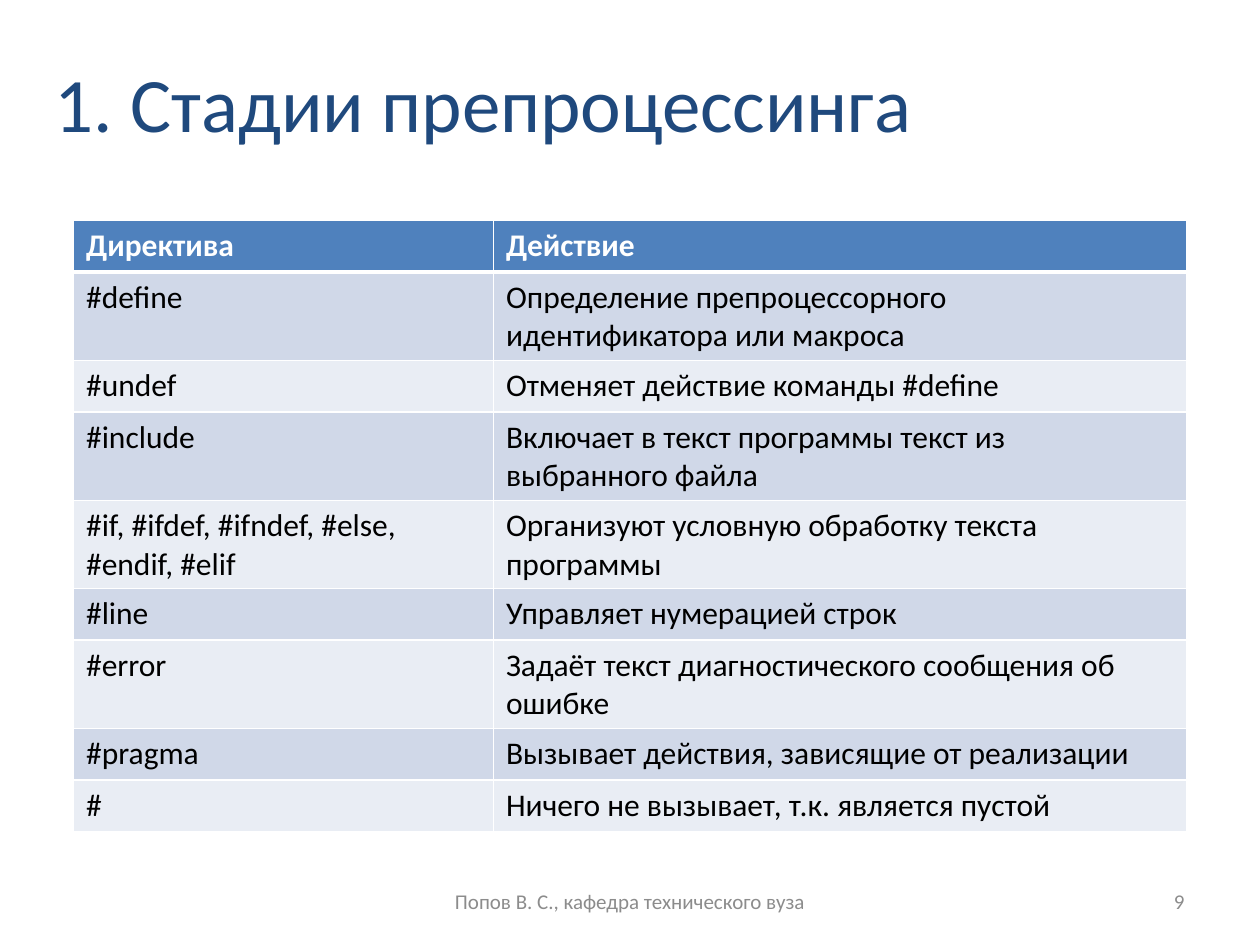
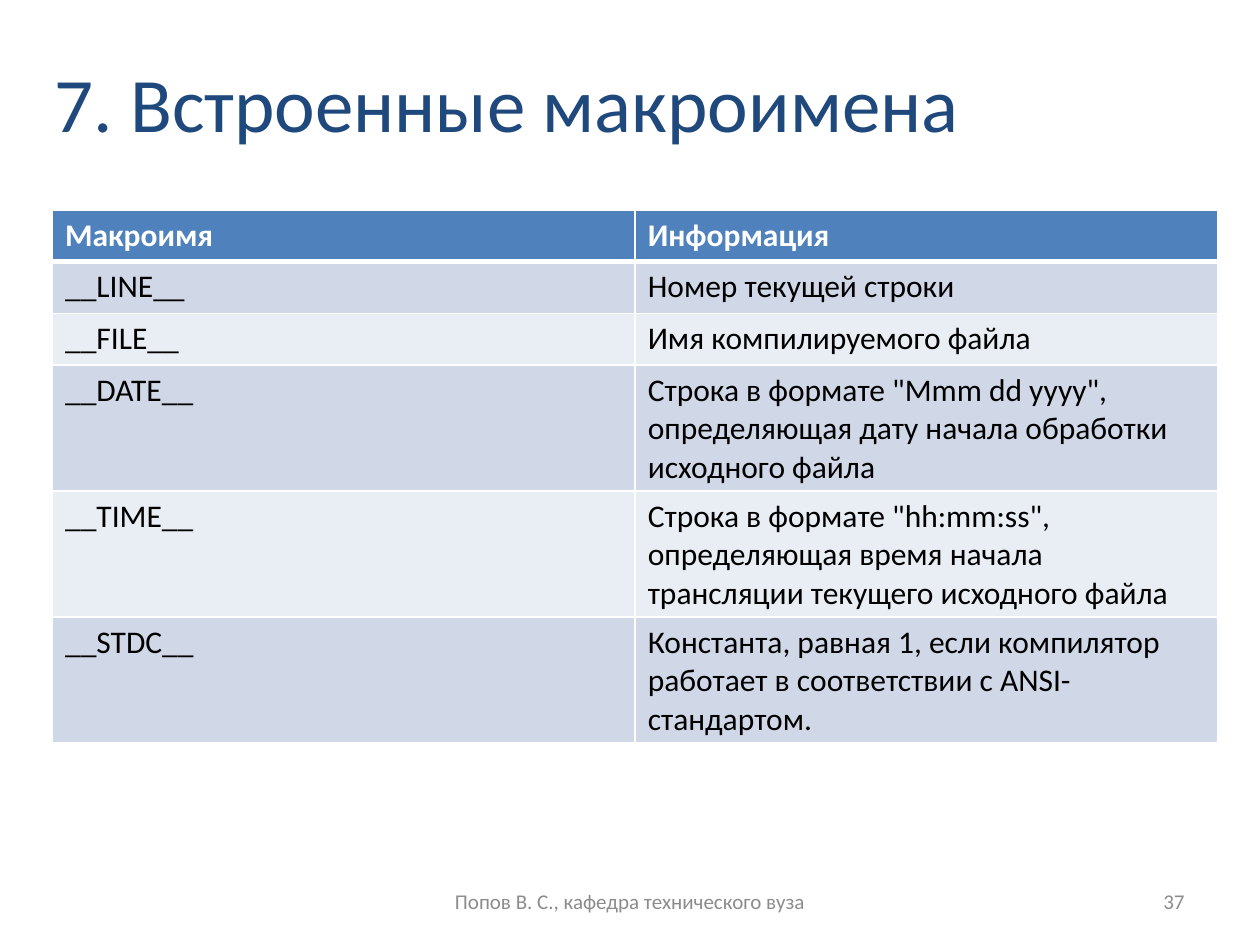
import dataclasses
import pptx
import pptx.util
import pptx.dml.color
import pptx.enum.text
import pptx.oxml
import pptx.oxml.ns
from lxml import etree

ALIGN = pptx.enum.text.PP_ALIGN
MIDDLE = pptx.enum.text.MSO_ANCHOR.MIDDLE


@dataclasses.dataclass(frozen=True)
class Theme:
    """Colours, type sizes and line widths of the deck."""
    font: str = "Calibri"
    title: str = "1F497D"
    foot: str = "8C8C8C"
    head: str = "4F81BD"
    bands: tuple = ("D0D8E8", "E9EDF4")
    white: str = "FFFFFF"
    black: str = "000000"
    big: int = 44
    body: int = 18
    small: int = 12
    thin: int = 1
    thick: int = 3


THEME = Theme()
COLS, ROWS = 120, 90  # the slide grid, twelve units to the inch
ROW = 4.92  # height of a table row of one line
TITLE_BOX = (4, 0, 98, 19.32)
FOOT_BOX = (41, 83.4, 38, 4.8)
PAGE_BOX = (86, 83.4, 28, 4.8)
FOOTER = "Попов В. С., кафедра технического вуза"

STAGES = [
    ("Директива", "Действие"),
    ("#define", "Определение препроцессорного идентификатора или макроса"),
    ("#undef", "Отменяет действие команды #define"),
    ("#include", "Включает в текст программы текст из выбранного файла"),
    ("#if, #ifdef, #ifndef, #else, #endif, #elif",
     "Организуют условную обработку текста программы"),
    ("#line", "Управляет нумерацией строк"),
    ("#error", "Задаёт текст диагностического сообщения об ошибке"),
    ("#pragma", "Вызывает действия, зависящие от реализации"),
    ("#", "Ничего не вызывает, т.к. является пустой"),
]
MACROS = [
    ("Макроимя", "Информация"),
    ("__LINE__", "Номер текущей строки"),
    ("__FILE__", "Имя компилируемого файла"),
    ("__DATE__", 'Строка в формате "Mmm dd yyyy", определяющая дату '
                 "начала обработки исходного файла"),
    ("__TIME__", 'Строка в формате "hh:mm:ss", определяющая время '
                 "начала трансляции текущего исходного файла"),
    ("__STDC__", "Константа, равная 1, если компилятор работает "
                 "в соответствии с ANSI-стандартом."),
]

deck = pptx.Presentation()
deck.slide_width = pptx.util.Inches(10)
deck.slide_height = pptx.util.Inches(7.5)


def across(cols):
    """Turn grid columns into a length."""
    return round(deck.slide_width * cols / COLS)


def down(rows):
    """Turn grid rows into a length."""
    return round(deck.slide_height * rows / ROWS)


def place(box):
    """Turn a grid box into left, top, width and height."""
    left, top, width, height = box
    return across(left), down(top), across(width), down(height)


def rgb(code):
    """Make a colour from its hex code."""
    return pptx.dml.color.RGBColor.from_string(code)


def write(frame, text, size, color, align=ALIGN.LEFT, bold=False):
    """Set the text of a frame and format its run."""
    frame.text = text
    para = frame.paragraphs[0]
    para.alignment = align
    font = para.runs[0].font
    font.name, font.size, font.bold = THEME.font, pptx.util.Pt(size), bold
    font.color.rgb = rgb(color)


def add_title(slide, box, text):
    """Move the title placeholder into the box and fill it."""
    title = slide.shapes.title
    title.left, title.top, title.width, title.height = place(box)
    title.text_frame.vertical_anchor = MIDDLE
    write(title.text_frame, text, THEME.big, THEME.title)


def add_foot(slide, box, text, align):
    """Put one small grey footer text in the box."""
    frame = slide.shapes.add_textbox(*place(box)).text_frame
    frame.word_wrap = True
    frame.vertical_anchor = MIDDLE
    write(frame, text, THEME.small, THEME.foot, align)


def add_edges(cell, top, bottom):
    """Draw white cell borders; top and bottom widths are in points."""
    props = cell._tc.get_or_add_tcPr()
    sides = {"L": THEME.thin, "R": THEME.thin, "T": top, "B": bottom}
    for spot, (side, width) in enumerate(sides.items()):
        line = etree.Element(pptx.oxml.ns.qn(f"a:ln{side}"),
                             w=str(pptx.util.Pt(width)))
        fill = etree.SubElement(line, pptx.oxml.ns.qn("a:solidFill"))
        etree.SubElement(fill, pptx.oxml.ns.qn("a:srgbClr"), val=THEME.white)
        props.insert(spot, line)


def add_grid(slide, left, top, widths, data):
    """Build a banded table whose first row is the header."""
    box = (left, top, sum(widths), ROW * len(data))
    table = slide.shapes.add_table(len(data), len(widths), *place(box)).table
    for col, width in zip(table.columns, widths):
        col.width = across(width)
    for r, texts in enumerate(data):
        head = r == 0
        back = THEME.head if head else THEME.bands[(r - 1) % 2]
        ink = THEME.white if head else THEME.black
        for c, text in enumerate(texts):
            cell = table.cell(r, c)
            write(cell.text_frame, text, THEME.body, ink, bold=head)
            cell.fill.solid()
            cell.fill.fore_color.rgb = rgb(back)
            add_edges(cell, THEME.thick if r == 1 else THEME.thin,
                      THEME.thick if head else THEME.thin)


def add_page(title, number, left, top, widths, data):
    """Add a slide with a title, a table and the shared footer."""
    slide = deck.slides.add_slide(deck.slide_layouts.get_by_name("Title Only"))
    add_title(slide, TITLE_BOX, title)
    add_foot(slide, PAGE_BOX, str(number), ALIGN.RIGHT)
    add_foot(slide, FOOT_BOX, FOOTER, ALIGN.CENTER)
    add_grid(slide, left, top, widths, data)


add_page("1. Стадии препроцессинга", 9, 7, 21, (40, 66), STAGES)
add_page("7. Встроенные макроимена", 37, 5, 20, (55.5, 55.5), MACROS)
deck.save("out.pptx")
